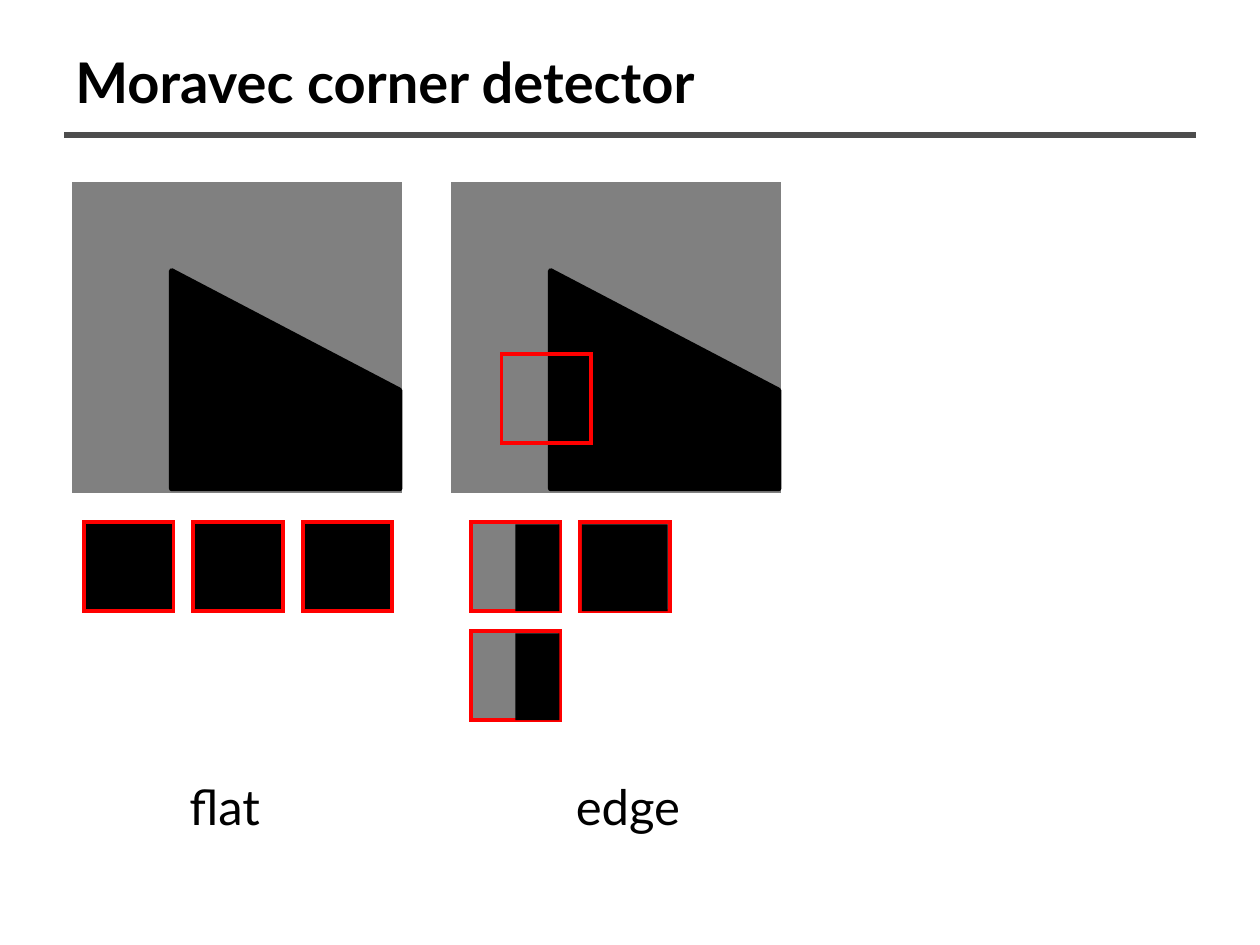
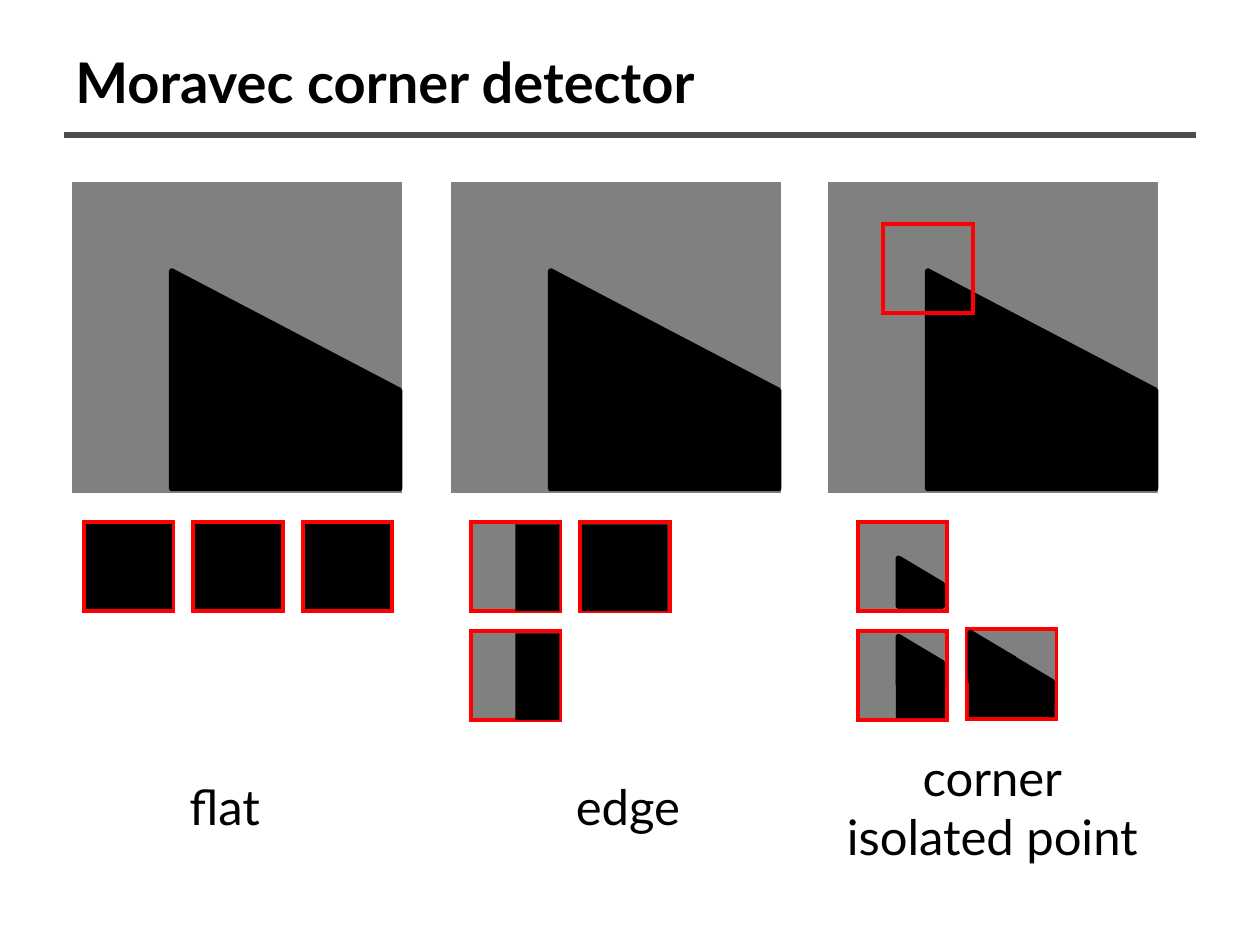
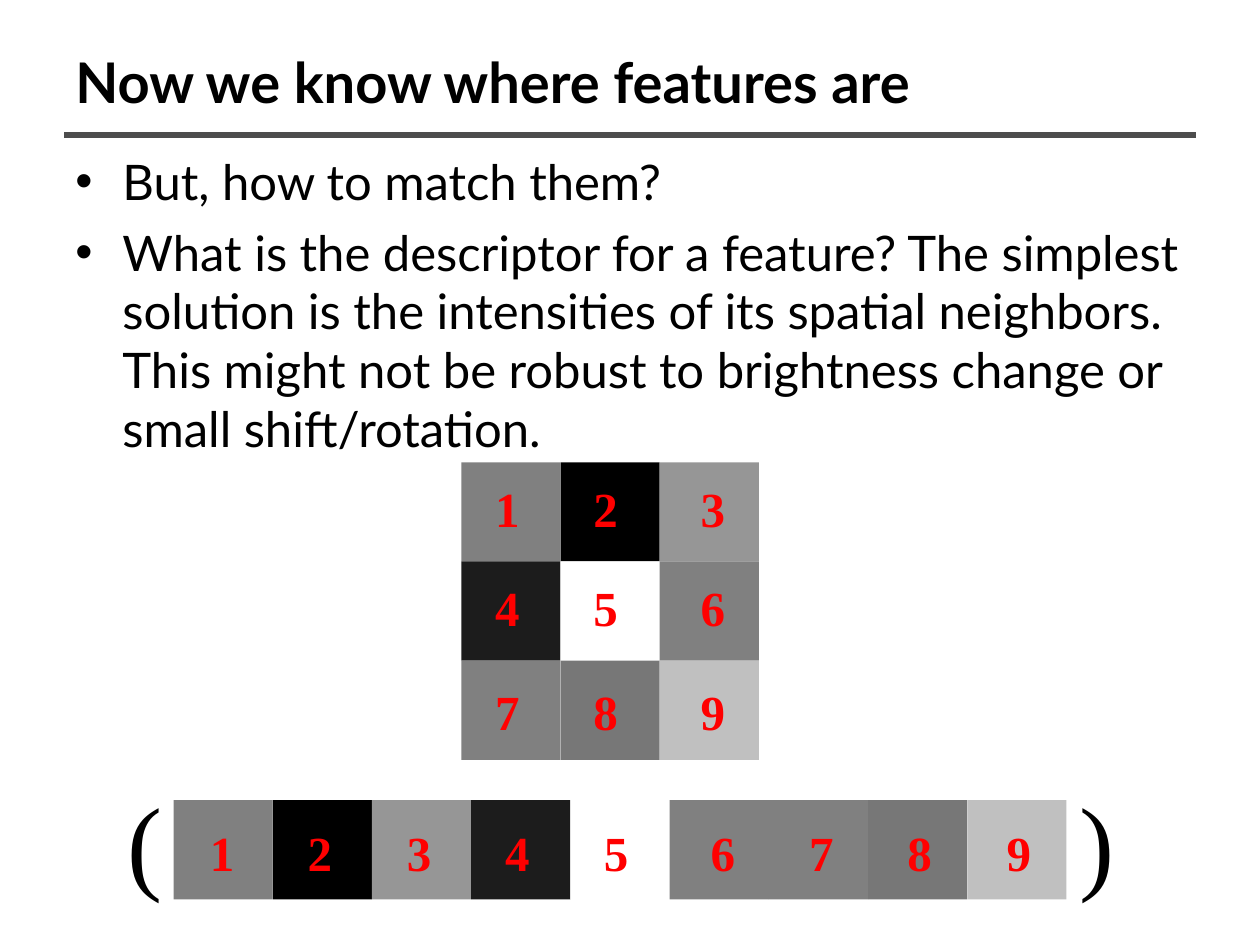
import lxml.etree
import pptx
import pptx.dml.color
import pptx.enum.shapes
import pptx.enum.text
import pptx.oxml.ns
import pptx.util

Cm = pptx.util.Cm
Pt = pptx.util.Pt
RGBColor = pptx.dml.color.RGBColor
qn = pptx.oxml.ns.qn
ALIGN = pptx.enum.text.PP_ALIGN
ANCHOR = pptx.enum.text.MSO_ANCHOR
FIT = pptx.enum.text.MSO_AUTO_SIZE

BLACK = RGBColor(0x00, 0x00, 0x00)
WHITE = RGBColor(0xFF, 0xFF, 0xFF)
RED = RGBColor(0xFF, 0x00, 0x00)
GREY = RGBColor(0x80, 0x80, 0x80)
CHARCOAL = RGBColor(0x1C, 0x1C, 0x1C)
RULE_GREY = RGBColor(0x4D, 0x4D, 0x4D)
DIM_GREY = RGBColor(0x77, 0x77, 0x77)
LIGHT_GREY = RGBColor(0x96, 0x96, 0x96)
SILVER = RGBColor(0xC0, 0xC0, 0xC0)

SANS = "Lato"
SERIF = "Times New Roman"
INTENSITIES = (GREY, BLACK, LIGHT_GREY, CHARCOAL, WHITE, GREY, GREY, DIM_GREY, SILVER)

SCENE_LEFTS = (1.5, 9.14, 16.74)
SCENE_TOP = 3.73
PATCH = 1.8
PITCH = 2.2
PATCH_TOP = 10.52
FLAT_LEFT, EDGE_LEFT, CORNER_LEFT = 1.7, 9.5, 17.3
CELL = 2


class Deck:
    """Holds the shared style and the slide being built."""

    def __init__(self):
        self.presentation = pptx.Presentation()
        self.presentation.slide_width = Cm(25.4)
        self.presentation.slide_height = Cm(19.05)
        self.slide = None

    def new_slide(self, title):
        """Start a slide with its title and the rule below it."""
        self.slide = self.presentation.slides.add_slide(self.presentation.slide_layouts[6])
        self.rule(1.3, 24.1, 2.72)
        self.text(title, 1.27, 0.76, 22.86, 1.75, size=32, bold=True,
                  anchor=ANCHOR.MIDDLE, wrap=True, align=ALIGN.LEFT)

    def rule(self, start, end, top):
        """Draw a horizontal line."""
        rule = self.slide.shapes.add_connector(
            pptx.enum.shapes.MSO_CONNECTOR.STRAIGHT, Cm(start), Cm(top), Cm(end), Cm(top))
        rule.line.color.rgb = RULE_GREY
        rule.line.width = Pt(3)
        lxml.etree.SubElement(rule.element.spPr, qn("a:effectLst"))

    def text(self, content, left, top, width, height, *, size=28, font=SANS, color=BLACK,
             bold=False, align=ALIGN.CENTER, anchor=ANCHOR.TOP, wrap=False, bullet=False):
        """Write one paragraph for each line of the content."""
        frame = self.slide.shapes.add_textbox(Cm(left), Cm(top), Cm(width), Cm(height)).text_frame
        frame.word_wrap = wrap
        frame.auto_size = FIT.NONE if wrap else FIT.SHAPE_TO_FIT_TEXT
        frame.vertical_anchor = anchor
        for index, line in enumerate(content.split("\n")):
            paragraph = frame.paragraphs[0] if index == 0 else frame.add_paragraph()
            paragraph.text = line
            paragraph.alignment = align
            if bullet:
                self.bullet(paragraph)
                if index:
                    paragraph.space_before = Pt(7)
            paragraph.font.size = Pt(size)
            paragraph.font.name = font
            paragraph.font.bold = bold
            paragraph.font.color.rgb = color

    def bullet(self, paragraph):
        """Give a paragraph a round bullet and a hanging indent."""
        properties = paragraph._p.get_or_add_pPr()
        properties.set("marL", str(Cm(0.95)))
        properties.set("indent", str(-Cm(0.95)))
        lxml.etree.SubElement(properties, qn("a:buFont"), typeface="Arial")
        lxml.etree.SubElement(properties, qn("a:buChar"), char="•")

    def paint(self, shape, fill, line, weight):
        """Set the fill and outline of a shape."""
        shape.shadow.inherit = False
        if fill is None:
            shape.fill.background()
        else:
            shape.fill.solid()
            shape.fill.fore_color.rgb = fill
        if line is None:
            shape.line.fill.background()
        else:
            shape.line.color.rgb = line
            shape.line.width = Pt(weight)

    def box(self, left, top, width, height, fill, line=None, weight=2.25):
        """Draw a rectangle with sharp corners."""
        box = self.slide.shapes.add_shape(
            pptx.enum.shapes.MSO_SHAPE.RECTANGLE, Cm(left), Cm(top), Cm(width), Cm(height))
        self.paint(box, fill, line, weight)
        if line is not None:
            lxml.etree.SubElement(box.element.spPr.find(qn("a:ln")), qn("a:miter"), lim="800000")

    def wedge(self, left, top, width=0.89, height=0.97, drop=0.53):
        """Draw a black block whose top edge falls to the right."""
        right, bottom = Cm(left + width), Cm(top + height)
        outline = self.slide.shapes.build_freeform(Cm(left), Cm(bottom.cm))
        outline.add_line_segments(
            [(Cm(left), Cm(top)), (right, Cm(top + drop)), (right, bottom)], close=True)
        self.paint(outline.convert_to_shape(), BLACK, BLACK, 3)

    def patch(self, left, top, fill=GREY):
        """Draw a window framed in red."""
        self.box(left, top, PATCH, PATCH, fill, RED)

    def scene(self, left):
        """Draw the grey field with the dark object."""
        self.box(left, SCENE_TOP, 6.55, 6.15, GREY, GREY, 3)
        self.wedge(left + 1.96, SCENE_TOP + 1.73, 4.6, 4.39, 2.41)

    def cell(self, index, left, top):
        """Draw one pixel of the neighborhood."""
        self.box(left, top, CELL, CELL, INTENSITIES[index])

    def number(self, index, left, top):
        """Write the number of one pixel."""
        self.text(str(index + 1), left, top, 1, 1.45, font=SERIF, color=RED, bold=True)


def add_detector_slide(deck, scene_count):
    """Show the flat and edge cases under the given number of scenes."""
    deck.new_slide("Moravec corner detector")
    for left in SCENE_LEFTS[:scene_count]:
        deck.scene(left)
    for step in range(3):
        deck.patch(FLAT_LEFT + step * PITCH, PATCH_TOP, BLACK)
    deck.text("flat", 3.53, 15.52, 2, 1.45)
    for left, top, dark_offset, dark_width in (
            (EDGE_LEFT, PATCH_TOP, 0.89, 0.89),
            (EDGE_LEFT + PITCH, PATCH_TOP, 0.03, 1.73),
            (EDGE_LEFT, PATCH_TOP + PITCH, 0.89, 0.89)):
        deck.patch(left, top)
        deck.box(left + dark_offset, top + 0.05, dark_width, 1.75, BLACK)
    deck.text("edge", 11.25, 15.52, 2.82, 1.45)


def add_corner_case(deck):
    """Show the corner windows and their label."""
    lower_top = PATCH_TOP + PITCH
    deck.patch(17.81, 4.52, None)
    deck.patch(CORNER_LEFT, PATCH_TOP)
    deck.wedge(18.11, 11.25)
    deck.patch(CORNER_LEFT, lower_top)
    deck.wedge(18.11, 12.83)
    deck.box(18.06, 13.69, 0.99, 0.79, BLACK)
    deck.patch(CORNER_LEFT + PITCH, lower_top - 0.03)
    deck.wedge(19.56, 12.75)
    deck.box(19.53, 13.72, 1.73, 0.74, BLACK)
    deck.wedge(20.32, 13.21)
    deck.text("corner\nisolated point", 16.59, 14.94, 6.83, 2.64)


def add_descriptor_slide(deck):
    """Show a neighborhood and the vector read from it."""
    deck.new_slide("Now we know where features are")
    deck.text("But, how to match them?\n"
              "What is the descriptor for a feature? The simplest solution is the intensities "
              "of its spatial neighbors. This might not be robust to brightness change or "
              "small shift/rotation.",
              1.27, 2.92, 22.86, 6.6, align=ALIGN.LEFT, wrap=True, bullet=True)
    number_columns = (9.73, 11.71, 13.87)
    number_rows = (9.52, 11.51, 13.61)
    vector_numbers = (3.98, 5.95, 7.95, 9.93, 11.92, 14.07, 16.06, 18.04, 20.04)
    for index, vector_number in enumerate(vector_numbers):
        row, column = divmod(index, 3)
        deck.cell(index, 9.3 + column * CELL, 9.32 + row * CELL)
        deck.number(index, number_columns[column], number_rows[row])
        deck.cell(index, 3.5 + index * CELL, 16.13)
        deck.number(index, vector_number, 16.46)
    for bracket, left in (("(", 2.31), (")", 21.51)):
        deck.text(bracket, left, 15.52, 1.22, 2.79, size=60, font=SERIF)


def main():
    """Build and save the slides."""
    deck = Deck()
    add_detector_slide(deck, 2)
    deck.patch(10.11, 7.14, None)
    add_detector_slide(deck, 3)
    add_corner_case(deck)
    add_descriptor_slide(deck)
    deck.presentation.save("out.pptx")


if __name__ == "__main__":
    main()
